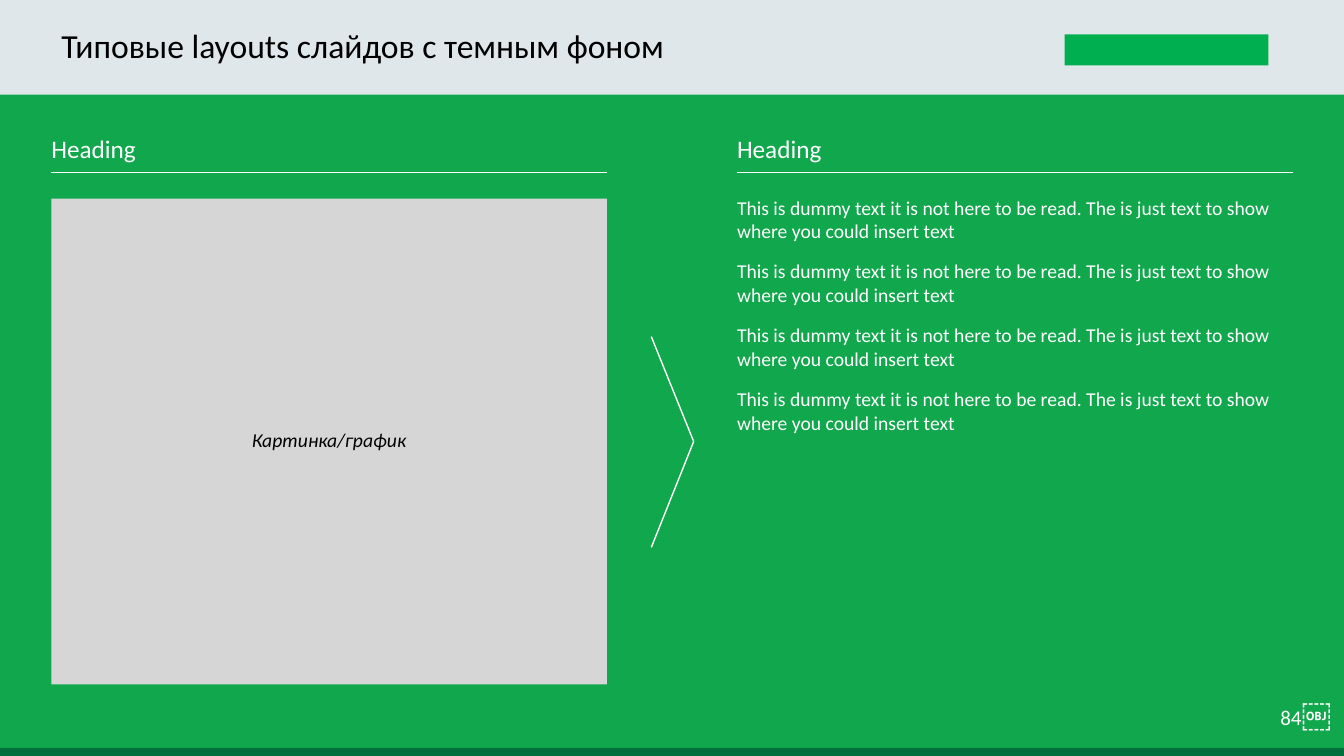
from dataclasses import dataclass

from lxml import etree
from pptx import Presentation
from pptx import util as u
from pptx.dml.color import RGBColor
from pptx.enum import shapes, text
from pptx.oxml.ns import qn


@dataclass(frozen=True)
class Theme:
    font: str = "Calibri"
    symbol_font: str = "Cabin"
    background: str = "11A74C"
    header: str = "E0E7EA"
    footer: str = "006F3C"
    logo: str = "00B050"
    panel: str = "D6D6D6"
    light: str = "FFFFFF"
    dark: str = "000000"
    title_size: int = 24
    symbol_size: int = 21
    heading_size: int = 18
    number_size: int = 15
    body_size: int = 14


class SlideBuilder:
    """Holds the theme and the current slide."""

    def __init__(self, slide, theme):
        self.slide = slide
        self.theme = theme

    def background(self, color):
        fill = self.slide.background.fill
        fill.solid()
        fill.fore_color.rgb = RGBColor.from_string(color)

    def rectangle(self, left, top, width, height, color):
        shape = self.slide.shapes.add_shape(
            shapes.MSO_SHAPE.RECTANGLE,
            u.Inches(left), u.Inches(top), u.Inches(width), u.Inches(height))
        shape.shadow.inherit = False
        shape.fill.solid()
        shape.fill.fore_color.rgb = RGBColor.from_string(color)
        shape.line.fill.background()
        return shape

    def line(self, start, end):
        connector = self.slide.shapes.add_connector(
            shapes.MSO_CONNECTOR.STRAIGHT, *map(u.Inches, start + end))
        connector.line.color.rgb = RGBColor.from_string(self.theme.light)
        connector.line.width = u.Pt(1)
        etree.SubElement(connector._element.spPr, qn("a:effectLst"))

    def text_box(self, left, top, width, height, insets=(0, 0.05, 0.1, 0.05),
                 anchor=text.MSO_ANCHOR.TOP):
        shape = self.slide.shapes.add_textbox(
            u.Inches(left), u.Inches(top), u.Inches(width), u.Inches(height))
        frame = shape.text_frame
        frame.word_wrap = True
        frame.vertical_anchor = anchor
        (frame.margin_left, frame.margin_top,
         frame.margin_right, frame.margin_bottom) = map(u.Inches, insets)
        return frame

    def run(self, paragraph, words, size, color, font=None, italic=False):
        run = paragraph.add_run()
        run.text = words
        run.font.name = font or self.theme.font
        run.font.size = u.Pt(size)
        run.font.italic = italic
        run.font.color.rgb = RGBColor.from_string(color)

    def heading(self, left, width, words):
        frame = self.text_box(left, 1.27, width, 0.4)
        self.run(frame.paragraphs[0], words, self.theme.heading_size, self.theme.light)
        self.line((left, 1.71), (left + width, 1.71))

    def body(self, left, top, width, height, items):
        frame = self.text_box(left, top, width, height)
        for index, words in enumerate(items):
            paragraph = frame.add_paragraph() if index else frame.paragraphs[0]
            paragraph.space_after = u.Pt(12)
            self.run(paragraph, words, self.theme.body_size, self.theme.light)


def main():
    presentation = Presentation()
    presentation.slide_width = u.Inches(13.33)
    presentation.slide_height = u.Inches(7.5)
    slide = presentation.slides.add_slide(presentation.slide_layouts[6])
    theme = Theme()
    builder = SlideBuilder(slide, theme)
    middle = text.MSO_ANCHOR.MIDDLE
    column_width = 5.51
    left_column, right_column = 0.51, 7.31

    # Background, footer strip and header band
    builder.background(theme.background)
    builder.rectangle(0, 7.42, 13.33, 0.08, theme.footer)
    builder.rectangle(0, 0, 13.33, 0.94, theme.header)
    builder.rectangle(10.56, 0.34, 2.02, 0.31, theme.logo)

    # Title
    title = builder.text_box(0.45, 0, 10.05, 0.94, (0.16, 0.05, 0.1, 0.05), middle)
    title.paragraphs[0].line_spacing = 0.9
    builder.run(title.paragraphs[0], "Типовые layouts слайдов с темным фоном",
                theme.title_size, theme.dark)

    # Column headings with rules
    for left in (left_column, right_column):
        builder.heading(left, column_width, "Heading")

    # Panel for an image or a chart
    panel = builder.rectangle(left_column, 1.97, column_width, 4.82, theme.panel)
    panel.text_frame.vertical_anchor = middle
    caption = panel.text_frame.paragraphs[0]
    caption.alignment = text.PP_ALIGN.CENTER
    caption.line_spacing = 0.9
    builder.run(caption, "Картинка/график", theme.body_size, theme.dark, italic=True)

    # Chevron between the columns
    tip = (6.88, 4.38)
    builder.line((6.46, 3.34), tip)
    builder.line(tip, (6.46, 5.43))

    # Body text
    dummy = ("This is dummy text it is not here to be read. "
             "The is just text to show where you could insert text")
    builder.body(right_column, 1.89, column_width, 2.49, [dummy] * 4)

    # Page number
    number = builder.text_box(12.57, 6.91, 0.76, 0.35, (0, 0, 0, 0), middle)
    number.paragraphs[0].alignment = text.PP_ALIGN.CENTER
    builder.run(number.paragraphs[0], "84", theme.number_size, theme.light)
    builder.run(number.paragraphs[0], "￼", theme.symbol_size, theme.light,
                theme.symbol_font)

    presentation.save("out.pptx")


if __name__ == "__main__":
    main()
